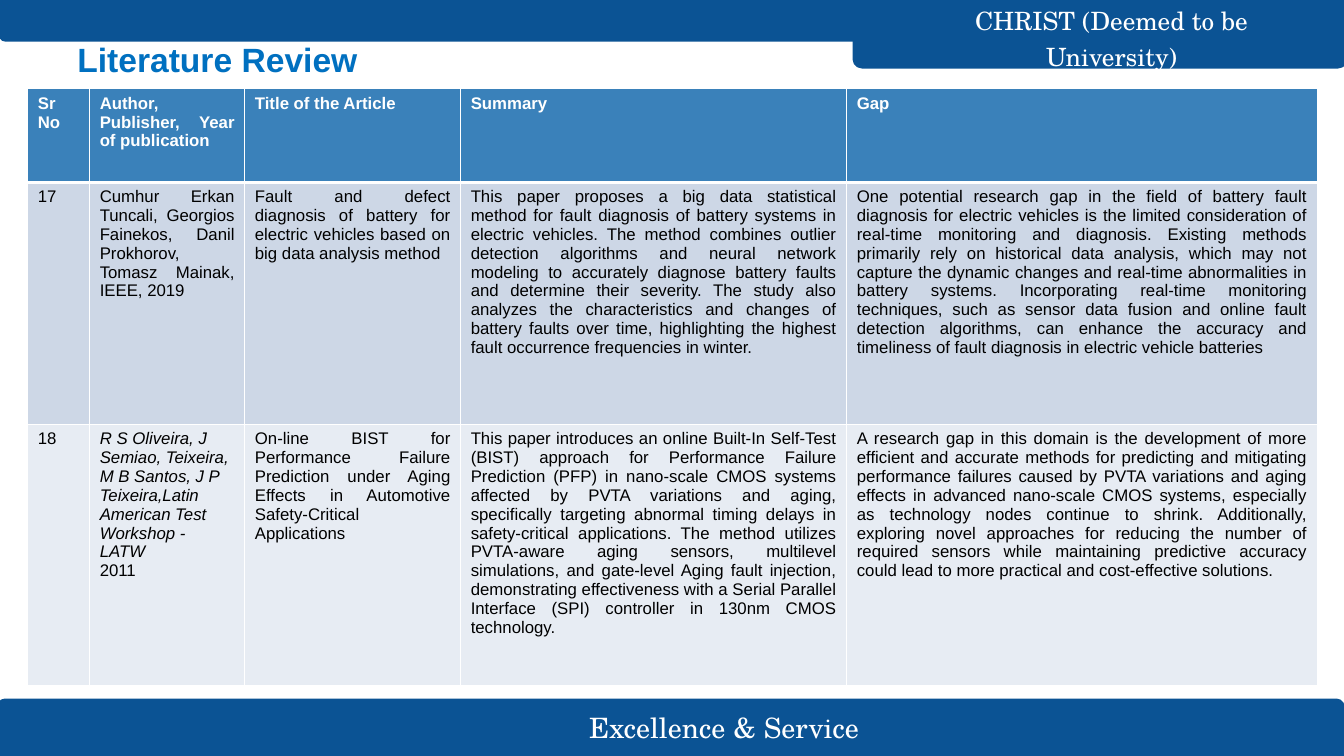
from lxml import etree
from pptx import Presentation
from pptx.dml.color import RGBColor
from pptx.enum import shapes, text
from pptx.oxml import ns
from pptx.util import Cm, Pt

NAVY = RGBColor(0x0B, 0x53, 0x94)
TITLE_BLUE = RGBColor(0x00, 0x70, 0xC0)
HEADER_BLUE = RGBColor(0x3A, 0x81, 0xBA)
BAND_DARK = RGBColor(0xCD, 0xD7, 0xE6)
BAND_LIGHT = RGBColor(0xE7, 0xEC, 0xF3)
WHITE = RGBColor(0xFF, 0xFF, 0xFF)
BLACK = RGBColor(0x00, 0x00, 0x00)
SANS = "Arial"
SERIF = "TeX Gyre Schola"

COLUMN_WIDTHS = (1.56, 3.91, 5.44, 9.73, 11.86)
ROW_HEIGHTS = (2.36, 6.1, 6.58)
ROW_FILLS = (HEADER_BLUE, BAND_DARK, BAND_LIGHT)
REVIEW_ROWS = (
    ("Sr No", "Author, Publisher, Year of publication", "Title of the Article",
     "Summary", "Gap"),
    ("17",
     "Cumhur Erkan Tuncali, Georgios Fainekos, Danil Prokhorov, "
     "Tomasz Mainak, IEEE, 2019",
     "Fault and defect diagnosis of battery for electric vehicles based on "
     "big data analysis method",
     "This paper proposes a big data statistical method for fault diagnosis of "
     "battery systems in electric vehicles. The method combines outlier "
     "detection algorithms and neural network modeling to accurately diagnose "
     "battery faults and determine their severity. The study also analyzes the "
     "characteristics and changes of battery faults over time, highlighting "
     "the highest fault occurrence frequencies in winter.",
     "One potential research gap in the field of battery fault diagnosis for "
     "electric vehicles is the limited consideration of real-time monitoring "
     "and diagnosis. Existing methods primarily rely on historical data "
     "analysis, which may not capture the dynamic changes and real-time "
     "abnormalities in battery systems. Incorporating real-time monitoring "
     "techniques, such as sensor data fusion and online fault detection "
     "algorithms, can enhance the accuracy and timeliness of fault diagnosis "
     "in electric vehicle batteries"),
    ("18",
     ("R S Oliveira, J Semiao, Teixeira, M B Santos, J P Teixeira,"
      "Latin American Test Workshop - LATW", "2011"),
     "On-line BIST for Performance Failure Prediction under Aging Effects in "
     "Automotive Safety-Critical Applications",
     "This paper introduces an online Built-In Self-Test (BIST) approach for "
     "Performance Failure Prediction (PFP) in nano-scale CMOS systems affected "
     "by PVTA variations and aging, specifically targeting abnormal timing "
     "delays in safety-critical applications. The method utilizes PVTA-aware "
     "aging sensors, multilevel simulations, and gate-level Aging fault "
     "injection, demonstrating effectiveness with a Serial Parallel Interface "
     "(SPI) controller in 130nm CMOS technology.",
     "A research gap in this domain is the development of more efficient and "
     "accurate methods for predicting and mitigating performance failures "
     "caused by PVTA variations and aging effects in advanced nano-scale CMOS "
     "systems, especially as technology nodes continue to shrink. "
     "Additionally, exploring novel approaches for reducing the number of "
     "required sensors while maintaining predictive accuracy could lead to "
     "more practical and cost-effective solutions."),
)


def add_run(paragraph, words, size, color, font=SANS, bold=False, italic=False):
    run = paragraph.add_run()
    run.text = words
    run.font.name = font
    run.font.size = Pt(size)
    run.font.bold = bold
    run.font.italic = italic
    run.font.color.rgb = color


def add_banner(slide, left, top, width, height, rotation=0):
    banner = slide.shapes.add_shape(
        shapes.MSO_SHAPE.ROUND_2_SAME_RECTANGLE,
        Cm(left), Cm(top), Cm(width), Cm(height))
    banner.adjustments[0] = 0.125
    banner.adjustments[1] = 0
    banner.rotation = rotation
    banner.shadow.inherit = False
    banner.fill.solid()
    banner.fill.fore_color.rgb = NAVY
    banner.line.color.rgb = NAVY
    banner.line.width = Pt(1.5)


def add_label(slide, left, top, width, height, anchor, alignment):
    """Add an empty text box and return its first paragraph."""
    box = slide.shapes.add_textbox(Cm(left), Cm(top), Cm(width), Cm(height))
    frame = box.text_frame
    frame.word_wrap = True
    frame.vertical_anchor = anchor
    frame.margin_left = frame.margin_right = Cm(0.25)
    frame.margin_top = frame.margin_bottom = Cm(0.25)
    paragraph = frame.paragraphs[0]
    paragraph.alignment = alignment
    return paragraph


def set_borders(cell, top, bottom):
    """Draw white borders; they must precede the fill in the cell properties."""
    properties = cell._tc.get_or_add_tcPr()
    widths = {"a:lnL": 1, "a:lnR": 1, "a:lnT": top, "a:lnB": bottom}
    for position, (tag, width) in enumerate(widths.items()):
        border = etree.Element(ns.qn(tag), w=str(Pt(width)))
        fill = etree.SubElement(border, ns.qn("a:solidFill"))
        etree.SubElement(fill, ns.qn("a:srgbClr"), val=str(WHITE))
        properties.insert(position, border)


def fill_cell(cell, content, row_index):
    is_header = row_index == 0
    cell.fill.solid()
    cell.fill.fore_color.rgb = ROW_FILLS[row_index]
    set_borders(cell, top=3 if row_index == 1 else 1, bottom=3 if is_header else 1)
    color = WHITE if is_header else BLACK
    frame = cell.text_frame
    paragraph = frame.paragraphs[0]
    if isinstance(content, tuple):
        source, year = content
        paragraph.alignment = text.PP_ALIGN.LEFT
        add_run(paragraph, source, 12, color, italic=True)
        year_paragraph = frame.add_paragraph()
        year_paragraph.alignment = text.PP_ALIGN.LEFT
        add_run(year_paragraph, year, 12, color)
    else:
        paragraph.alignment = text.PP_ALIGN.JUSTIFY
        add_run(paragraph, content, 12, color, bold=is_header)


def add_review_table(slide):
    table = slide.shapes.add_table(
        len(REVIEW_ROWS), len(COLUMN_WIDTHS), Cm(0.7), Cm(2.24),
        Cm(sum(COLUMN_WIDTHS)), Cm(sum(ROW_HEIGHTS))).table
    for column, width in zip(table.columns, COLUMN_WIDTHS):
        column.width = Cm(width)
    for row_index, contents in enumerate(REVIEW_ROWS):
        table.rows[row_index].height = Cm(ROW_HEIGHTS[row_index])
        for column_index, content in enumerate(contents):
            fill_cell(table.cell(row_index, column_index), content, row_index)


def main():
    presentation = Presentation()
    presentation.slide_width = Cm(33.87)
    presentation.slide_height = Cm(19.05)
    slide = presentation.slides.add_slide(presentation.slide_layouts[6])

    add_banner(slide, -0.05, 17.63, 33.91, 1.42)
    add_banner(slide, 0, 0, 33.91, 1.02, rotation=180)
    add_banner(slide, 21.51, 0, 12.42, 1.7, rotation=180)

    middle, center = text.MSO_ANCHOR.MIDDLE, text.PP_ALIGN.CENTER
    motto = add_label(slide, 10.92, 17.93, 14.66, 0.81, middle, center)
    add_run(motto, "Excellence & Service", 20, WHITE, SERIF)
    university = add_label(slide, 22.73, 0.38, 10.57, 1.02, middle, center)
    university.line_spacing = 1.2
    add_run(university, "CHRIST (Deemed to be University)", 18, WHITE, SERIF)

    add_review_table(slide)
    title = add_label(slide, 1.7, 0, 30.48, 2.24,
                      text.MSO_ANCHOR.BOTTOM, text.PP_ALIGN.LEFT)
    add_run(title, "Literature Review", 24, TITLE_BLUE, bold=True)

    presentation.save("out.pptx")


if __name__ == "__main__":
    main()
